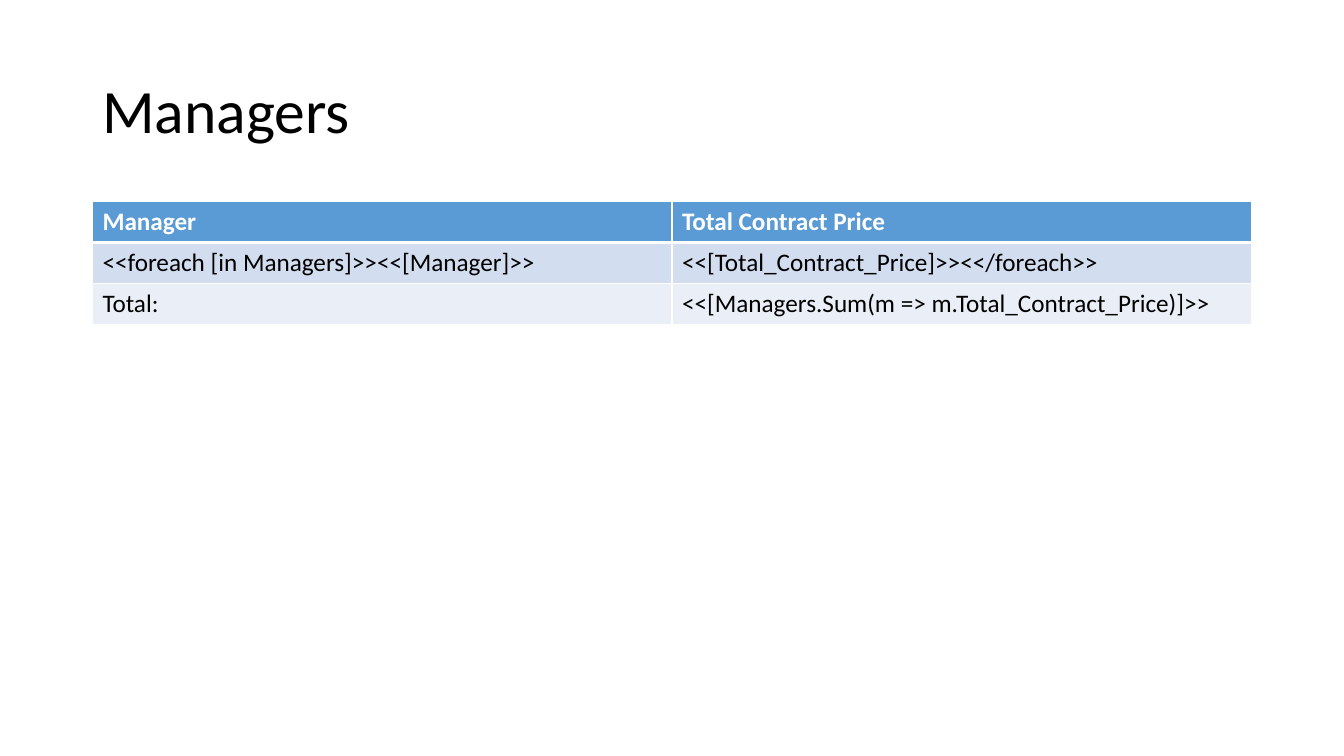
from dataclasses import dataclass

from lxml import etree
from pptx import Presentation
from pptx import util as u
from pptx.dml.color import RGBColor
from pptx.enum import text as t
from pptx.oxml import ns


@dataclass(frozen=True)
class Theme:
    font: str = "Calibri"
    ink: str = "000000"
    white: str = "FFFFFF"
    head: str = "5B9BD5"
    bands: tuple = ("D2DEEF", "EAEFF7")
    title: int = 44
    body: int = 18
    thin: int = 1
    thick: int = 3


LOOK = Theme()
LEFT, WIDTH = u.Cm(2.33), u.Cm(29.21)

ROWS = [
    ("Manager", "Total Contract Price"),
    ("<<foreach [in Managers]>><<[Manager]>>",
     "<<[Total_Contract_Price]>><</foreach>>"),
    ("Total:", "<<[Managers.Sum(m => m.Total_Contract_Price)]>>"),
]


def write(frame, words, size=LOOK.body, color=LOOK.ink, bold=False, space=1.0):
    para = frame.paragraphs[0]
    para.line_spacing = space
    run = para.add_run()
    run.text = words
    run.font.name = LOOK.font
    run.font.size = u.Pt(size)
    run.font.bold = bold
    run.font.color.rgb = RGBColor.from_string(color)


def add_title(slide, words):
    box = slide.shapes.add_textbox(LEFT, u.Cm(1.01), WIDTH, u.Cm(3.68))
    frame = box.text_frame
    frame.word_wrap = True
    frame.vertical_anchor = t.MSO_ANCHOR.MIDDLE
    write(frame, words, size=LOOK.title, space=0.9)


def add_edge(cell, side, width):
    # Cell borders go before the fill, in the order they are added
    props = cell._tc.get_or_add_tcPr()
    line = etree.SubElement(props, ns.qn(f"a:{side}"), w=str(u.Pt(width)))
    fill = etree.SubElement(line, ns.qn("a:solidFill"))
    etree.SubElement(fill, ns.qn("a:srgbClr"), val=LOOK.white)


def add_grid(slide, rows):
    count, cols = len(rows), len(rows[0])
    high = u.Cm(1.03)
    table = slide.shapes.add_table(
        count, cols, LEFT, u.Cm(5.08), WIDTH, high * count).table
    for r, row in enumerate(rows):
        table.rows[r].height = high
        top = r == 0
        shade = LOOK.head if top else LOOK.bands[(r - 1) % 2]
        for c, words in enumerate(row):
            cell = table.cell(r, c)
            # The rule under the header is the heavy one
            for side, width in (
                    ("lnL", LOOK.thin),
                    ("lnR", LOOK.thin),
                    ("lnT", LOOK.thick if r == 1 else LOOK.thin),
                    ("lnB", LOOK.thick if top else LOOK.thin)):
                add_edge(cell, side, width)
            cell.fill.solid()
            cell.fill.fore_color.rgb = RGBColor.from_string(shade)
            write(cell.text_frame, words, bold=top,
                  color=LOOK.white if top else LOOK.ink)


def main():
    deck = Presentation()
    deck.slide_width, deck.slide_height = u.Cm(33.87), u.Cm(19.05)
    slide = deck.slides.add_slide(deck.slide_layouts[6])

    # Heading
    add_title(slide, "Managers")

    # Contract totals by manager
    add_grid(slide, ROWS)

    deck.save("out.pptx")


if __name__ == "__main__":
    main()
